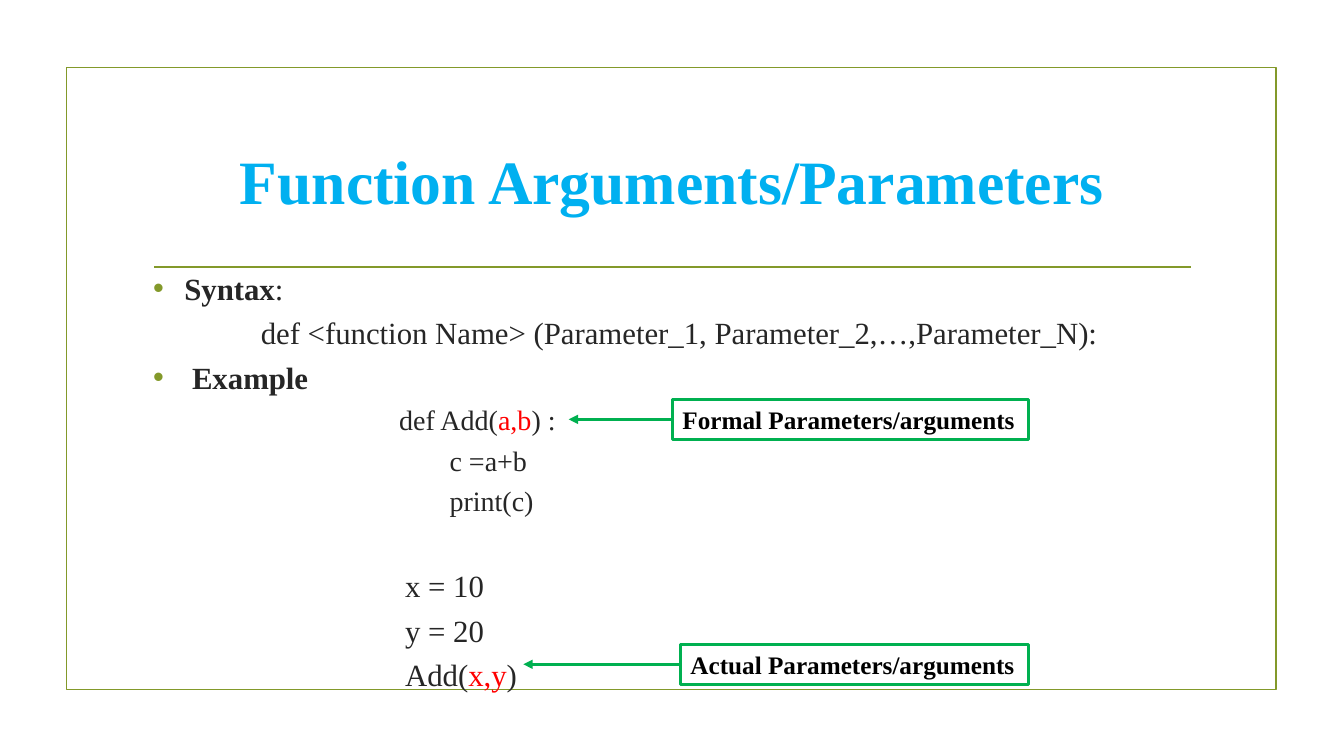
from lxml import etree
from pptx import Presentation
from pptx.dml.color import RGBColor
from pptx.enum.shapes import MSO_CONNECTOR, MSO_SHAPE
from pptx.enum.text import MSO_ANCHOR, PP_ALIGN
from pptx.oxml.ns import qn
from pptx.util import Inches, Pt

RECTANGLE = MSO_SHAPE.RECTANGLE
STRAIGHT = MSO_CONNECTOR.STRAIGHT
LEFT, CENTER = PP_ALIGN.LEFT, PP_ALIGN.CENTER
TOP, MIDDLE = MSO_ANCHOR.TOP, MSO_ANCHOR.MIDDLE

OLIVE, GREEN, BLUE = "83992A", "00B050", "00B0F0"
INK, RED, BLACK = "262626", "FF0000", "000000"


def rgb(value):
    return RGBColor.from_string(value)


class SlideBuilder:
    font = "Times New Roman"

    def __init__(self, slide):
        self.slide = slide

    def frame(self, left, top, width, height, color, weight):
        """Add an unfilled, outlined rectangle."""
        box = self.slide.shapes.add_shape(
            RECTANGLE, Inches(left), Inches(top), Inches(width), Inches(height))
        box.shadow.inherit = False
        box.fill.background()
        box.line.color.rgb = rgb(color)
        box.line.width = Pt(weight)
        return box

    def line(self, start, end, color, weight, arrow=False):
        connector = self.slide.shapes.add_connector(
            STRAIGHT, *(Inches(value) for value in (*start, *end)))
        connector.line.color.rgb = rgb(color)
        connector.line.width = Pt(weight)
        properties = connector._element.spPr
        if arrow:
            etree.SubElement(properties.find(qn("a:ln")), qn("a:tailEnd"), type="triangle")
        etree.SubElement(properties, qn("a:effectLst"))

    def text_area(self, left, top, width, height, anchor=TOP):
        area = self.slide.shapes.add_textbox(
            Inches(left), Inches(top), Inches(width), Inches(height)).text_frame
        area.word_wrap = True
        area.vertical_anchor = anchor
        return area

    def add_runs(self, paragraph, runs, size, align=LEFT):
        """Fill a paragraph with (text, color, bold) runs."""
        paragraph.alignment = align
        for text, color, bold in runs:
            run = paragraph.add_run()
            run.text = text
            run.font.name = self.font
            run.font.size = Pt(size)
            run.font.bold = bold
            run.font.color.rgb = rgb(color)

    def indent(self, paragraph, margin, bullet=False):
        properties = paragraph._p.get_or_add_pPr()
        properties.set("marL", str(Inches(margin)))
        properties.set("indent", str(-Inches(margin) if bullet else 0))
        if bullet:
            bullet_color = etree.SubElement(properties, qn("a:buClr"))
            etree.SubElement(bullet_color, qn("a:srgbClr"), val=OLIVE)
            etree.SubElement(properties, qn("a:buFont"), typeface="Arial")
            etree.SubElement(properties, qn("a:buChar"), char="•")

    def callout(self, label, left, top, width, arrow_tip):
        """Add a labelled box with an arrow leading left to arrow_tip."""
        height = 0.4
        box = self.frame(left, top, width, height, GREEN, 2.25)
        area = box.text_frame
        area.word_wrap = True
        area.vertical_anchor = TOP
        self.add_runs(area.paragraphs[0], [(label, BLACK, True)], 18)
        self.line((left, top + height / 2), arrow_tip, GREEN, 2.25, arrow=True)


def plain(text):
    return (text, INK, False)


def main():
    presentation = Presentation()
    presentation.slide_width = Inches(13.33)
    presentation.slide_height = Inches(7.5)
    builder = SlideBuilder(presentation.slides.add_slide(presentation.slide_layouts[6]))

    builder.frame(0.66, 0.67, 12, 6.17, OLIVE, 1.25)
    builder.line((1.53, 2.65), (11.81, 2.65), OLIVE, 1.25)

    title = builder.text_area(1.42, 1.07, 10.5, 1.43, MIDDLE)
    builder.add_runs(title.paragraphs[0],
                     [("Function Arguments/Parameters", BLUE, True)], 44, CENTER)

    # runs, size, space before, left margin, bullet, alignment
    syntax = "def <function Name> (Parameter_1, Parameter_2,…,Parameter_N):"
    body_lines = [
        ([("Syntax", INK, True), plain(":")], 22, 0, 0.31, True, LEFT),
        ([plain(syntax)], 22, 4.4, 0, False, CENTER),
        ([plain(" "), ("Example", INK, True)], 22, 4.4, 0.31, True, LEFT),
        ([plain("def Add("), ("a,b", RED, False), plain(") :")], 20, 4, 2.44, False, LEFT),
        ([plain("c =a+b")], 20, 4, 2.94, False, LEFT),
        ([plain("print(c)")], 20, 4, 2.94, False, LEFT),
        ([plain("x = 10")], 22, 34.6, 2.5, False, LEFT),
        ([plain("y = 20")], 22, 4.4, 2.5, False, LEFT),
        ([plain("Add("), ("x,y", RED, False), plain(")")], 22, 4.4, 2.5, False, LEFT),
    ]
    body = builder.text_area(1.42, 2.61, 10.63, 3.89)
    for index, (runs, size, space, margin, bullet, align) in enumerate(body_lines):
        paragraph = body.add_paragraph() if index else body.paragraphs[0]
        paragraph.line_spacing = 1.04
        paragraph.space_before = Pt(space)
        builder.indent(paragraph, margin, bullet)
        builder.add_runs(paragraph, runs, size, align)

    builder.callout("Formal Parameters/arguments", 6.67, 3.96, 3.53, (5.64, 4.16))
    builder.callout("Actual Parameters/arguments", 6.75, 6.39, 3.45, (5.19, 6.59))

    presentation.save("out.pptx")


if __name__ == "__main__":
    main()
